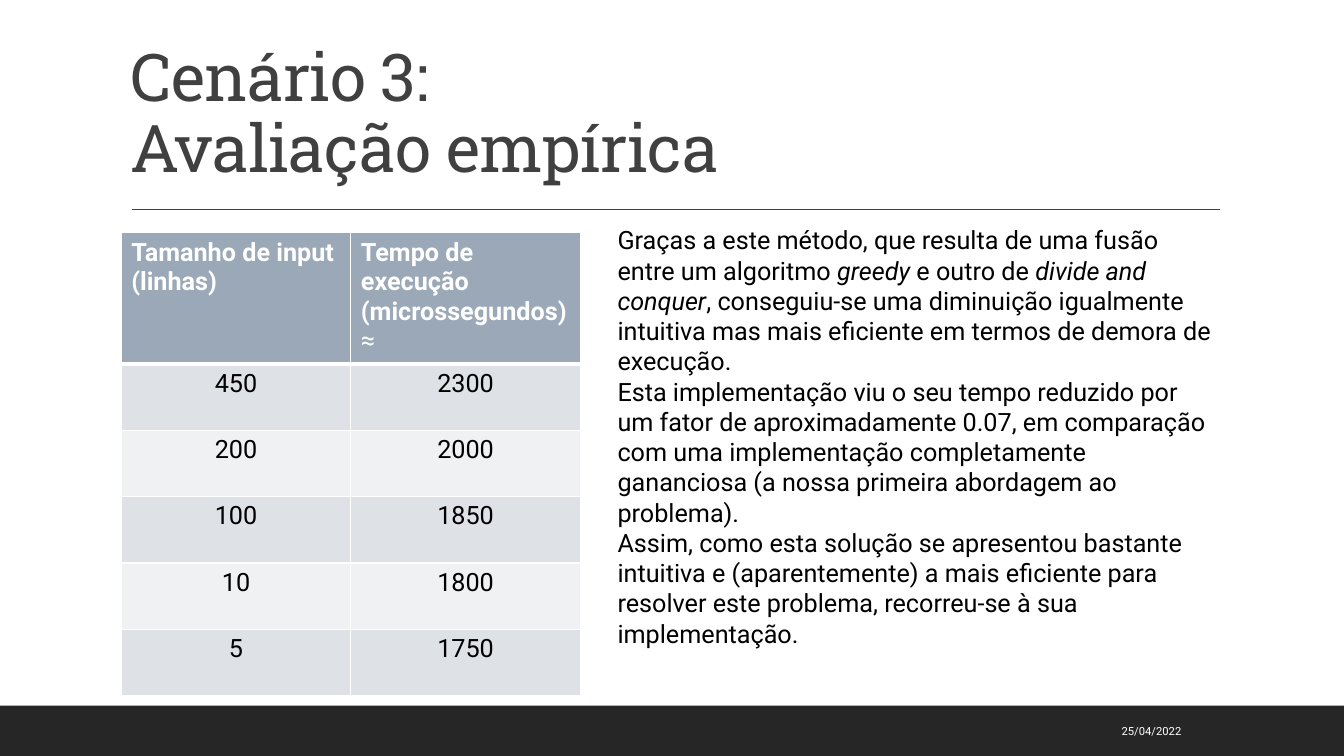
from lxml import etree
from pptx import Presentation
from pptx.dml.color import RGBColor
from pptx.enum.shapes import MSO_CONNECTOR, MSO_SHAPE
from pptx.enum.text import MSO_ANCHOR, PP_ALIGN
from pptx.oxml.ns import qn
from pptx.util import Pt

LEFT, CENTER, RIGHT = PP_ALIGN.LEFT, PP_ALIGN.CENTER, PP_ALIGN.RIGHT
TOP, MIDDLE, BOTTOM = MSO_ANCHOR.TOP, MSO_ANCHOR.MIDDLE, MSO_ANCHOR.BOTTOM
RECT, STRAIGHT = MSO_SHAPE.RECTANGLE, MSO_CONNECTOR.STRAIGHT
WIDTH, HEIGHT = 960, 540
DARK, GREY, WHITE, BLACK = "262626", "404040", "FFFFFF", "000000"
HEADER, BANDS = "9BA8B7", ("DEE1E6", "EFF1F3")

HEADINGS = [
    [[("Tamanho de input (linhas)", True)]],
    [[("Tempo de execução", True)], [("(microssegundos) ", True), ("≈", False)]],
]
TIMINGS = [(450, 2300), (200, 2000), (100, 1850), (10, 1800), (5, 1750)]
DISCUSSION = [
    [("Graças a este método, que resulta de uma fusão entre um algoritmo ", False),
     ("greedy", True), (" e outro de ", False), ("divide and conquer", True),
     (", conseguiu-se uma diminuição igualmente intuitiva mas mais eficiente em "
      "termos de demora de execução.", False)],
    [("Esta implementação viu o seu tempo reduzido por um fator de aproximadamente "
      "0.07, em comparação com uma implementação completamente gananciosa (a nossa "
      "primeira abordagem ao problema).", False)],
    [("Assim, como esta solução se apresentou bastante intuitiva e (aparentemente) a "
      "mais eficiente para resolver este problema, recorreu-se à sua implementação.",
      False)],
]


def rgb(color):
    """Turn a hex string into a colour."""
    return RGBColor.from_string(color)


def style(p, size, color, align=LEFT, font="Roboto"):
    """Set the font and alignment of a paragraph."""
    p.alignment = align
    p.font.name, p.font.size = font, Pt(size)
    p.font.color.rgb = rgb(color)


def add_text_frame(s, x, y, w, h, anchor):
    """Add a wrapping text box and return its frame."""
    tf = s.shapes.add_textbox(Pt(x), Pt(y), Pt(w), Pt(h)).text_frame
    tf.word_wrap, tf.vertical_anchor = True, anchor
    return tf


def add_paragraphs(tf, paragraphs, color, mark):
    """Fill a frame with paragraphs of runs, each run flagged for one font attribute."""
    for i, runs in enumerate(paragraphs):
        p = tf.add_paragraph() if i else tf.paragraphs[0]
        style(p, 18, color)
        for text, flag in runs:
            r = p.add_run()
            r.text = text
            setattr(r.font, mark, flag)


def add_title(s, x, y, w, h):
    """Add the title with the rule below it."""
    p = add_text_frame(s, x, y, w, h, BOTTOM).paragraphs[0]
    p.text = "Cenário 3:\vAvaliação empírica"
    style(p, 47, GREY, font="Roboto Slab")
    p.line_spacing = 0.9
    p._p.pPr.find(qn("a:defRPr")).set("spc", "-50")
    rule_y = y + h + 13
    rule = s.shapes.add_connector(STRAIGHT, Pt(x + 8), Pt(rule_y), Pt(x + w - 7), Pt(rule_y))
    rule.line.color.rgb, rule.line.width = rgb(GREY), Pt(1)
    etree.SubElement(rule._element.spPr, qn("a:effectLst"))


def add_footer(s, x, y, w, h):
    """Add the dark band with the date."""
    band = s.shapes.add_shape(RECT, Pt(x), Pt(y), Pt(w), Pt(h))
    band.shadow.inherit = False
    band.fill.solid()
    band.fill.fore_color.rgb = rgb(DARK)
    band.line.fill.background()
    p = add_text_frame(s, x + 647, y + 3.5, 204, 29, MIDDLE).paragraphs[0]
    p.text = "25/04/2022"
    style(p, 8, WHITE, RIGHT)


def format_cell(cell, color, bottom, top):
    """Give a cell its white borders and its fill."""
    tc_pr = cell._tc.get_or_add_tcPr()
    for side, width in (("L", 1), ("R", 1), ("T", top), ("B", bottom)):
        ln = etree.SubElement(tc_pr, qn(f"a:ln{side}"), w=str(Pt(width)))
        fill = etree.SubElement(ln, qn("a:solidFill"))
        etree.SubElement(fill, qn("a:srgbClr"), val=WHITE)
    cell.fill.solid()
    cell.fill.fore_color.rgb = rgb(color)


def add_timings(s, x, y, w, h):
    """Add the table of input sizes and run times."""
    header_h = 59
    row_h = (h - header_h) / len(TIMINGS)
    table = s.shapes.add_table(len(TIMINGS) + 1, 2, Pt(x), Pt(y), Pt(w), Pt(h)).table
    for col in table.columns:
        col.width = Pt(w / 2)
    for i, row in enumerate(table.rows):
        row.height = Pt(row_h if i else header_h)
    for j, heading in enumerate(HEADINGS):
        cell = table.cell(0, j)
        add_paragraphs(cell.text_frame, heading, WHITE, "bold")
        format_cell(cell, HEADER, 3, 1)
    for i, values in enumerate(TIMINGS):
        for j, value in enumerate(values):
            cell = table.cell(i + 1, j)
            cell.text = str(value)
            style(cell.text_frame.paragraphs[0], 18, BLACK, CENTER)
            format_cell(cell, BANDS[i % 2], 1, 1 if i else 3)


def add_discussion(s, x, y, w, h):
    """Add the discussion of the results."""
    add_paragraphs(add_text_frame(s, x, y, w, h, TOP), DISCUSSION, BLACK, "italic")


def main():
    """Build the slide and save it."""
    prs = Presentation()
    prs.slide_width, prs.slide_height = Pt(WIDTH), Pt(HEIGHT)
    s = prs.slides.add_slide(prs.slide_layouts[6])
    add_footer(s, 0, 504, WIDTH, 36)
    add_title(s, 86.4, 22.3, 792, 114.5)
    add_timings(s, 86.6, 166.3, 328, 296)
    add_discussion(s, 434, 157, 444, 269)
    prs.save("out.pptx")


if __name__ == "__main__":
    main()
